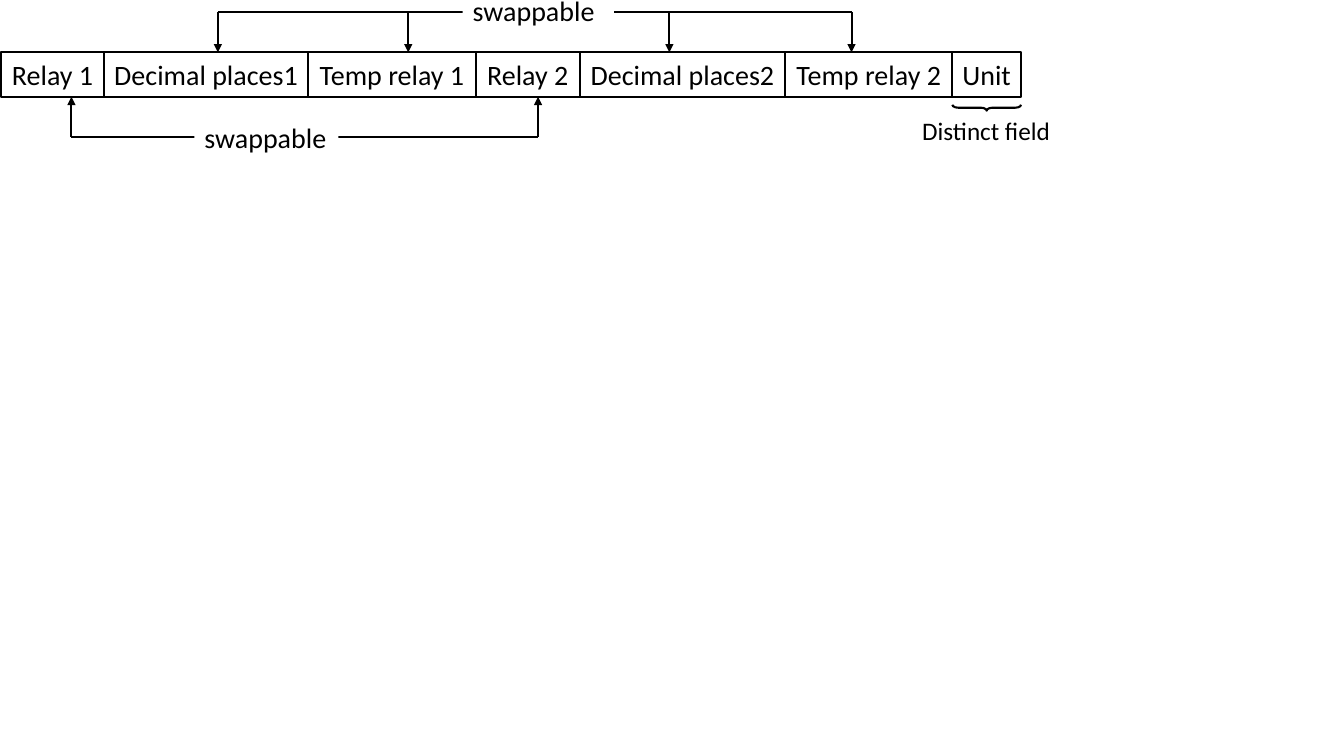
from lxml.etree import SubElement
from pptx import Presentation
from pptx.dml.color import RGBColor
from pptx.enum.shapes import MSO_CONNECTOR, MSO_SHAPE
from pptx.enum.text import MSO_ANCHOR, PP_ALIGN
from pptx.oxml.ns import qn
from pptx.util import Cm, Pt

FIELD_TOP, FIELD_HEIGHT = 1.32, 1.12
FIELD_BOTTOM = FIELD_TOP + FIELD_HEIGHT
FIELDS = [
    ("Relay 1", 2.59),
    ("Decimal places1", 5.15),
    ("Temp relay 1", 4.22),
    ("Relay 2", 2.62),
    ("Decimal places2", 5.18),
    ("Temp relay 2", 4.21),
    ("Unit", 1.73),
]


def color(value):
    return RGBColor.from_string(value)


def apply_format(target, values):
    for name, value in values.items():
        setattr(target, name, value)


class RecordDiagram:
    ink, paper, line_width = "000000", "FFFFFF", Pt(1.5)
    field_frame = {
        "word_wrap": True,
        "vertical_anchor": MSO_ANCHOR.MIDDLE,
        "margin_left": 0,
        "margin_right": 0,
    }
    label_frame = {"word_wrap": True, "vertical_anchor": MSO_ANCHOR.TOP}

    def __init__(self, slide):
        self.slide = slide

    def outline(self, line):
        line.color.rgb = color(self.ink)
        line.width = self.line_width

    def add_text(self, shape, text, size, frame_format, alignment):
        apply_format(shape.text_frame, frame_format)
        paragraph = shape.text_frame.paragraphs[0]
        paragraph.alignment = alignment
        run = paragraph.add_run()
        run.text = text
        apply_format(run.font, {"name": "Calibri", "size": Pt(size)})
        run.font.color.rgb = color(self.ink)

    def preset(self, shapes, kind, box):
        shape = shapes.add_shape(kind, *map(Cm, box))
        shape.shadow.inherit = False
        shape.fill.background()
        return shape

    def field(self, text, left, width):
        box = (left, FIELD_TOP, width, FIELD_HEIGHT)
        shape = self.preset(self.slide.shapes, MSO_SHAPE.RECTANGLE, box)
        self.outline(shape.line)
        self.add_text(shape, text, 20, self.field_frame, PP_ALIGN.CENTER)

    def connector(self, shapes, start, end, arrow=False):
        connector = shapes.add_connector(MSO_CONNECTOR.STRAIGHT, *map(Cm, start + end))
        self.outline(connector.line)
        properties = connector._element.spPr
        if arrow:
            SubElement(properties.find(qn("a:ln")), qn("a:tailEnd"), type="triangle")
        SubElement(properties, qn("a:effectLst"))

    def swap_bracket(self, columns, bar_top, tip_top, label_box):
        shapes = self.slide.shapes.add_group_shape().shapes
        self.connector(shapes, (columns[0], bar_top), (columns[-1], bar_top))
        for column in columns:
            self.connector(shapes, (column, bar_top), (column, tip_top), arrow=True)
        label = self.preset(shapes, MSO_SHAPE.RECTANGLE, label_box)
        label.fill.solid()
        label.fill.fore_color.rgb = color(self.paper)
        label.line.fill.background()
        self.add_text(label, "swappable", 20, self.label_frame, PP_ALIGN.LEFT)

    def brace(self, box):
        shape = self.preset(self.slide.shapes, MSO_SHAPE.RIGHT_BRACE, box)
        shape.rotation = 90
        shape.adjustments[0] = 0.97
        self.outline(shape.line)

    def caption(self, text, box):
        shape = self.slide.shapes.add_textbox(*map(Cm, box))
        self.add_text(shape, text, 18, self.label_frame, PP_ALIGN.LEFT)


def main():
    presentation = Presentation()
    presentation.slide_width, presentation.slide_height = Cm(33.87), Cm(19.05)
    slide = presentation.slides.add_slide(presentation.slide_layouts[6])
    diagram = RecordDiagram(slide)

    left = 0.03
    for text, width in FIELDS:
        diagram.field(text, left, width)
        left += width

    diagram.swap_bracket((1.8, 13.56), 3.45, FIELD_BOTTOM, (4.9, 2.9, 3.63, 1.12))
    diagram.swap_bracket(
        (5.49, 10.29, 16.87, 21.46), 0.3, FIELD_TOP, (11.66, -0.28, 3.81, 1.12)
    )
    diagram.brace((24.79, 1.85, 0.15, 1.73))
    diagram.caption("Distinct field", (22.99, 2.79, 3.81, 1.02))

    presentation.save("out.pptx")


if __name__ == "__main__":
    main()
